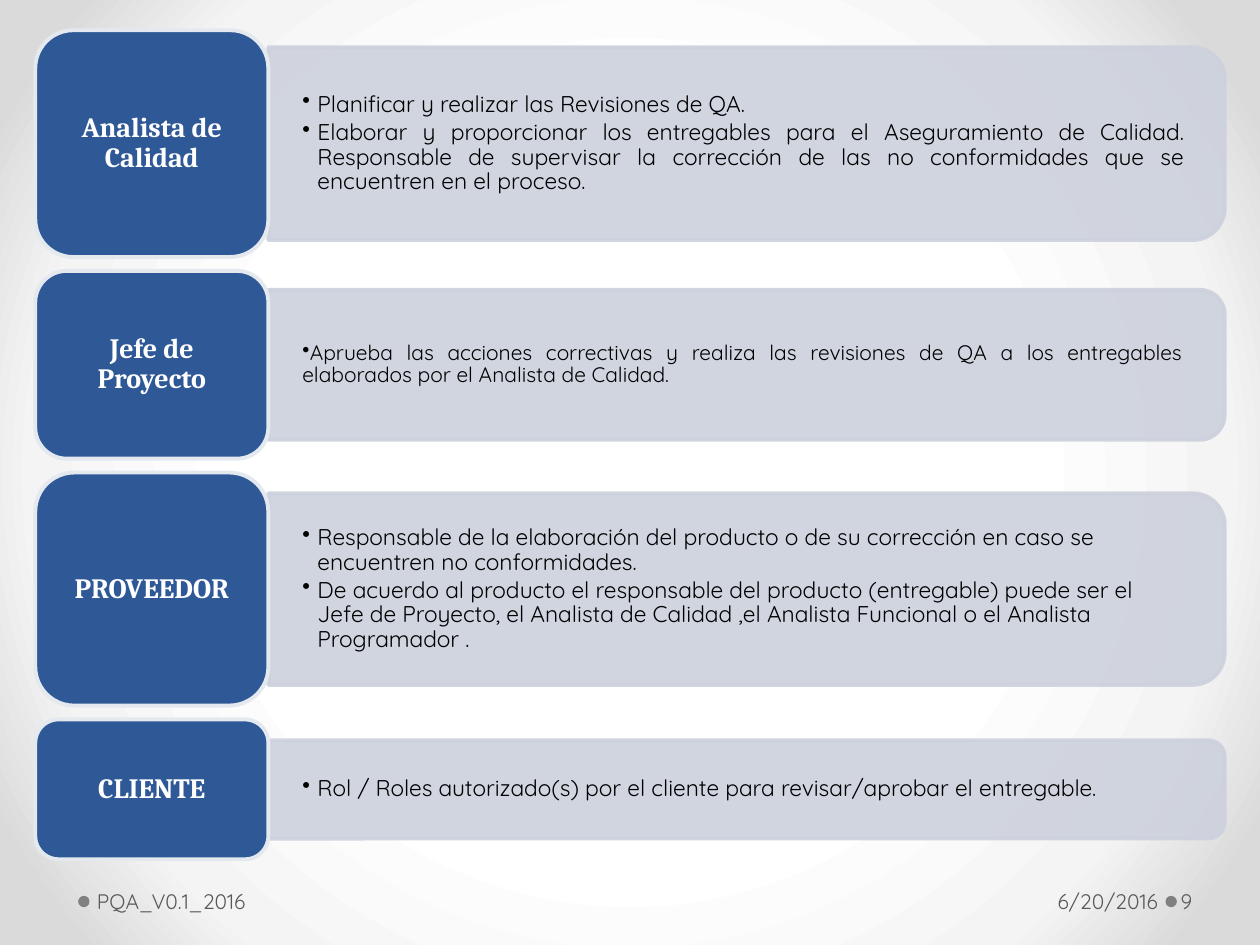
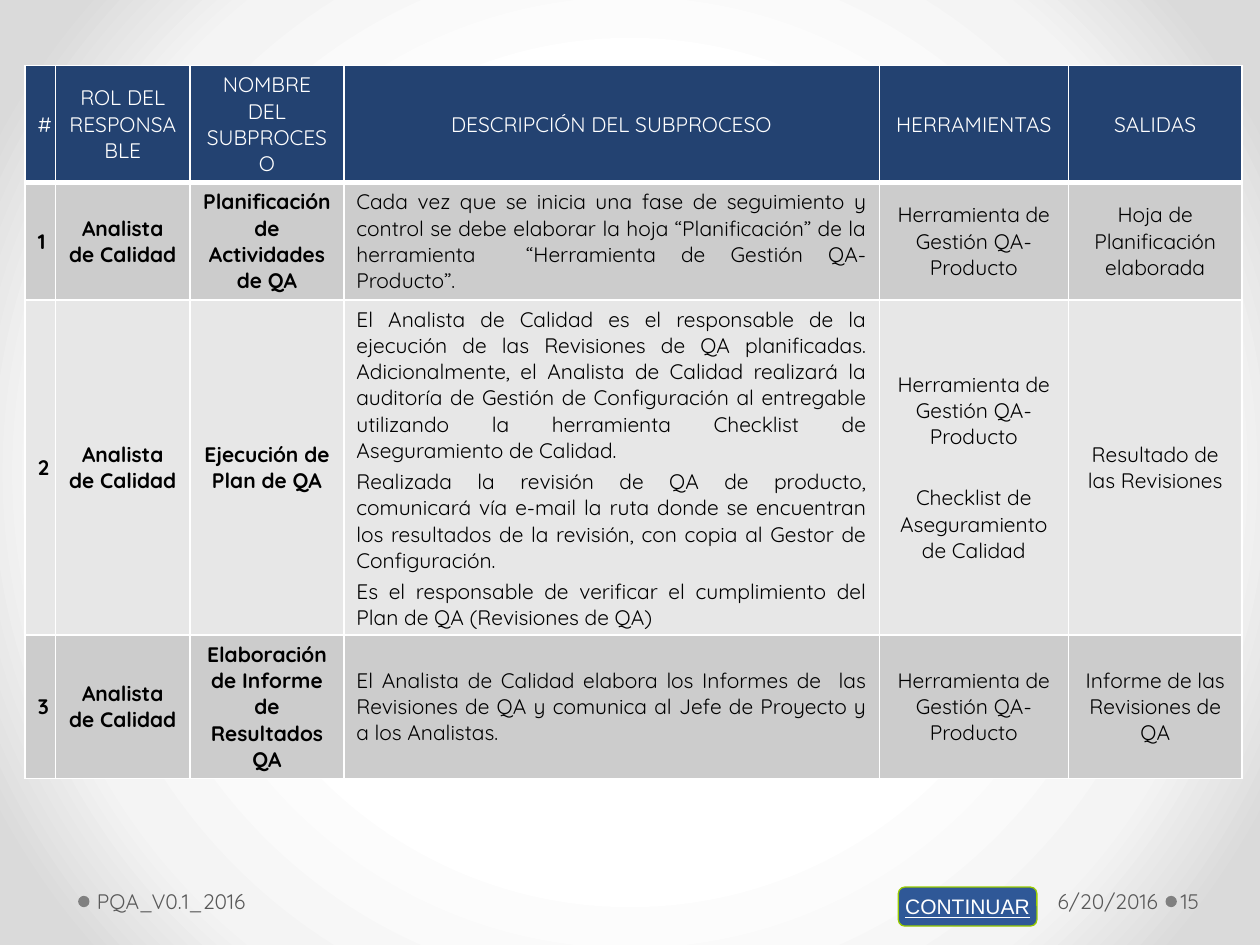
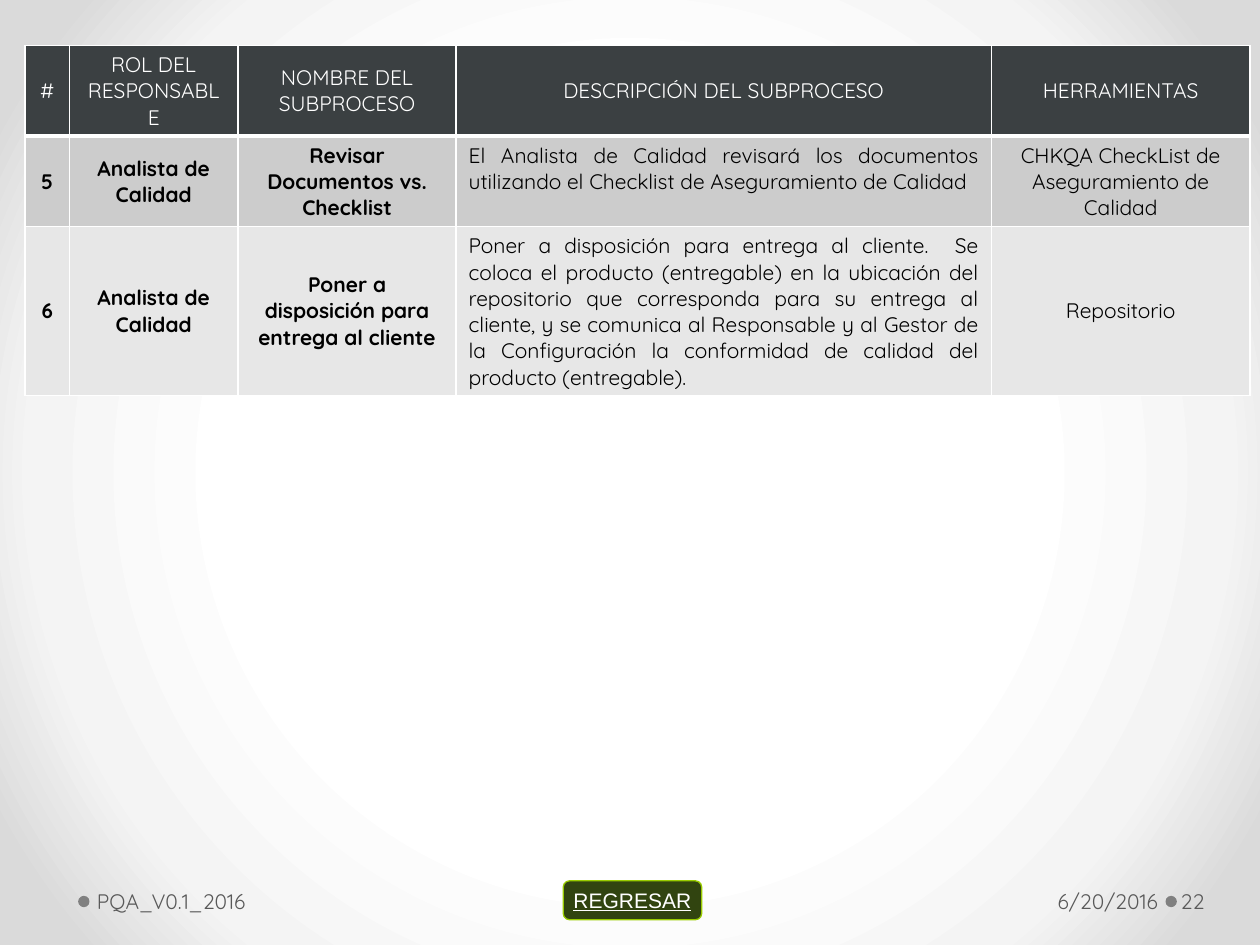
import lxml.etree
import pptx
import pptx.dml.color
import pptx.enum.shapes
import pptx.enum.text
import pptx.oxml.ns
import pptx.util

RGBColor = pptx.dml.color.RGBColor
PRESET = pptx.enum.shapes.MSO_SHAPE
ALIGN = pptx.enum.text.PP_ALIGN
ANCHOR = pptx.enum.text.MSO_ANCHOR
qn = pptx.oxml.ns.qn

BLACK = RGBColor(0x00, 0x00, 0x00)
WHITE = RGBColor(0xFF, 0xFF, 0xFF)
BLUE = RGBColor(0x2F, 0x58, 0x97)
NAVY = RGBColor(0x23, 0x42, 0x71)
CHARCOAL = RGBColor(0x3B, 0x40, 0x42)
OLIVE = RGBColor(0x31, 0x44, 0x10)
LIME = RGBColor(0x99, 0xCC, 0x00)
LAVENDER = RGBColor(0xCD, 0xD1, 0xDD)
HALO = RGBColor(0xE4, 0xE9, 0xEF)
FOOTER_TEXT = RGBColor(0x59, 0x59, 0x59)
FOOTER_DOT = RGBColor(0x80, 0x80, 0x80)
BAND_DARK = RGBColor(0xCC, 0xCC, 0xCC)
BAND_LIGHT = RGBColor(0xE7, 0xE7, 0xE7)
BACKGROUND_STOPS = [(50, WHITE), (76, RGBColor(0xF4, 0xF4, 0xF4)),
                    (92, RGBColor(0xDA, 0xDA, 0xDA))]

BODY_FONT = "Quicksand"
LABEL_FONT = "Cambria"
BUTTON_FONT = "Arial"

presentation = pptx.Presentation()
presentation.slide_width = pptx.util.Inches(10)
presentation.slide_height = pptx.util.Inches(7.5)

# Every length below counts the columns and rows of a 100 by 75 grid.
COLUMN = presentation.slide_width / 100
ROW = presentation.slide_height / 75


def place(slide, box, preset=None, fill=None, line=None, weight=0):
    """Add a preset shape, or a text box without one, at a box of grid units."""
    left, top, width, height = box
    lengths = [round(left * COLUMN), round(top * ROW),
               round(width * COLUMN), round(height * ROW)]
    if preset is None:
        shape = slide.shapes.add_textbox(*lengths)
    else:
        shape = slide.shapes.add_shape(preset, *lengths)
        shape.shadow.inherit = False
        shape.fill.solid()
        shape.fill.fore_color.rgb = fill
        if line is None:
            shape.line.fill.background()
        else:
            shape.line.color.rgb = line
            shape.line.width = pptx.util.Pt(weight)
    shape.text_frame.word_wrap = True
    shape.text_frame.vertical_anchor = ANCHOR.MIDDLE
    return shape


def write(frame, text, size=12, font=BODY_FONT, color=BLACK, bold=False, underline=False,
          align=ALIGN.LEFT, gap=0, spacing=None, margins=None, hanging=None):
    """Fill a frame with one paragraph per line; hanging sets a bullet indent."""
    if margins:
        frame.margin_left, frame.margin_top, frame.margin_right, frame.margin_bottom = [
            pptx.util.Inches(margin) for margin in margins]
    for index, line in enumerate(text.split("\n")):
        paragraph = frame.paragraphs[0] if index == 0 else frame.add_paragraph()
        paragraph.alignment = align
        if index:
            paragraph.space_before = pptx.util.Pt(gap)
        if spacing:
            paragraph.line_spacing = spacing
        if hanging is not None:
            indent = pptx.util.Inches(hanging)
            properties = paragraph._p.get_or_add_pPr()
            properties.set("marL", str(indent))
            properties.set("indent", str(-indent))
            lxml.etree.SubElement(properties, qn("a:buChar")).set("char", "•")
        run = paragraph.add_run()
        run.text = line
        run.font.name = font
        run.font.size = pptx.util.Pt(size)
        run.font.color.rgb = color
        run.font.bold = bold
        run.font.underline = underline


# Shared background: a round gradient from the middle of the master
master = presentation.slide_master
master.background.fill.gradient()
gradient = next(master.element.iter(qn("a:gradFill")))
for child in list(gradient):
    gradient.remove(child)
stop_list = lxml.etree.SubElement(gradient, qn("a:gsLst"))
for position, color in BACKGROUND_STOPS:
    stop = lxml.etree.SubElement(stop_list, qn("a:gs"))
    stop.set("pos", str(position * 1000))
    lxml.etree.SubElement(stop, qn("a:srgbClr")).set("val", str(color))
circle = lxml.etree.SubElement(gradient, qn("a:path"))
circle.set("path", "circle")
center = lxml.etree.SubElement(circle, qn("a:fillToRect"))
for side in "ltrb":
    center.set(side, "50000")

# Slides with their shared footer
FOOTER_TOP, FOOTER_HEIGHT = 69.5, 4
slides = []
for number in ("9", "15", "22"):
    slide = presentation.slides.add_slide(presentation.slide_layouts[6])
    for left in (6.2, 92.5):
        place(slide, (left, 71.1, 0.9, 0.9), PRESET.OVAL, FOOTER_DOT)
    for left, width, text, align, margins in (
            (7.2, 39.6, "PQA_V0.1_2016", ALIGN.LEFT, (0.05, 0.05, 0.1, 0.05)),
            (69.6, 22.8, "6/20/2016", ALIGN.RIGHT, (0.1, 0.05, 0.05, 0.05)),
            (93.4, 6.1, number, ALIGN.LEFT, (0.03, 0.05, 0.05, 0.05))):
        footer = place(slide, (left, FOOTER_TOP, width, FOOTER_HEIGHT))
        write(footer.text_frame, text, color=FOOTER_TEXT, align=align, margins=margins)
    slides.append(slide)
roles_slide, process_slide, review_slide = slides

# Slide 1: roles, each a label with a panel centred on it
LABEL_LEFT, LABEL_WIDTH, LABEL_GAP = 2.8, 18.5, 1.1
PANEL_LEFT, PANEL_WIDTH = LABEL_LEFT + LABEL_WIDTH, 75.9
roles = [
    # name, label height, panel height, text size, alignment, hanging indent, duties
    ("Analista de Calidad", 18, 15.3, 13, ALIGN.JUSTIFY, 0.12,
     "Planificar y realizar las Revisiones de QA.\n"
     "Elaborar y proporcionar los entregables para el Aseguramiento de Calidad. Responsable "
     "de supervisar la corrección de las no conformidades que se encuentren en el proceso."),
    ("Jefe de Proyecto", 14.9, 11.9, 12, ALIGN.JUSTIFY, 0,
     "Aprueba las acciones correctivas y realiza las revisiones de QA a los entregables "
     "elaborados por el Analista de Calidad."),
    ("PROVEEDOR", 18.5, 15.2, 13, ALIGN.LEFT, 0.12,
     "Responsable de la elaboración del producto o de su corrección en caso se encuentren "
     "no conformidades.\n"
     "De acuerdo al producto el responsable del producto (entregable) puede ser el Jefe de "
     "Proyecto, el Analista de Calidad ,el Analista Funcional o el Analista Programador ."),
    ("CLIENTE", 11.1, 7.8, 13, ALIGN.LEFT, 0.12,
     "Rol / Roles autorizado(s) por el cliente para revisar/aprobar el entregable."),
]
top = 2.4
for name, label_height, panel_height, size, align, hanging, duties in roles:
    middle = top + label_height / 2
    # The panel is an upright shape turned a quarter, so its sides swap.
    panel = place(roles_slide,
                  (PANEL_LEFT + (PANEL_WIDTH - panel_height) / 2, middle - PANEL_WIDTH / 2,
                   panel_height, PANEL_WIDTH),
                  PRESET.ROUND_2_SAME_RECTANGLE, LAVENDER, LAVENDER, 2.25)
    panel.rotation = 90
    for color in panel.element.spPr.iter(qn("a:srgbClr")):
        lxml.etree.SubElement(color, qn("a:alpha")).set("val", "90000")
    text_height = panel_height * 0.9
    duty_box = place(roles_slide, (PANEL_LEFT, middle - text_height / 2, 75.3, text_height))
    write(duty_box.text_frame, duties, size=size, align=align, gap=1.95, spacing=0.9,
          margins=(0.27, 0.14, 0.27, 0.14), hanging=hanging)
    label = place(roles_slide, (LABEL_LEFT, top, LABEL_WIDTH, label_height),
                  PRESET.ROUNDED_RECTANGLE, BLUE, HALO, 2.25)
    write(label.text_frame, name, size=16, font=LABEL_FONT, color=WHITE, bold=True,
          align=ALIGN.CENTER, spacing=0.9, margins=(0.07, 0.03, 0.07, 0.03))
    top += label_height + LABEL_GAP

# Slides 2 and 3: subprocess tables
HEADINGS = ["#", "ROL DEL RESPONSABLE", "NOMBRE DEL SUBPROCESO",
            "DESCRIPCIÓN DEL SUBPROCESO", "HERRAMIENTAS", "SALIDAS"]
ANALYST = "Analista de Calidad"
TOOL = "Herramienta de Gestión QA-Producto"
DESCRIPTION = HEADINGS.index("DESCRIPCIÓN DEL SUBPROCESO")

process_rows = [
    HEADINGS,
    ["1", ANALYST, "Planificación de Actividades de QA",
     "Cada vez que se inicia una fase de seguimiento y control se debe elaborar la hoja "
     "“Planificación” de la herramienta  “Herramienta de Gestión QA-Producto”.",
     TOOL, "Hoja de Planificación elaborada"],
    ["2", ANALYST, "Ejecución de Plan de QA",
     "El Analista de Calidad es el responsable de la ejecución de las Revisiones de QA "
     "planificadas. Adicionalmente, el Analista de Calidad realizará la auditoría de Gestión "
     "de Configuración al entregable utilizando la herramienta Checklist de Aseguramiento "
     "de Calidad.\n"
     "Realizada la revisión de QA de producto, comunicará vía e-mail la ruta donde se "
     "encuentran los resultados de la revisión, con copia al Gestor de Configuración.\n"
     "Es el responsable de verificar el cumplimiento del Plan de QA (Revisiones de QA)",
     TOOL + "\nChecklist de Aseguramiento de Calidad", "Resultado de las Revisiones"],
    ["3", ANALYST, "Elaboración de Informe de Resultados QA",
     "El Analista de Calidad elabora los Informes de  las Revisiones de QA y comunica al "
     "Jefe de Proyecto y a los Analistas.",
     TOOL, "Informe de las Revisiones de QA"],
]
review_rows = [
    HEADINGS[:-1],
    ["5", ANALYST, "Revisar Documentos vs. Checklist",
     "El Analista de Calidad revisará los documentos utilizando el Checklist de "
     "Aseguramiento de Calidad",
     "CHKQA CheckList de Aseguramiento de Calidad"],
    ["6", ANALYST, "Poner a disposición para entrega al cliente",
     "Poner a disposición para entrega al cliente.  Se coloca el producto (entregable) en la "
     "ubicación del repositorio que corresponda para su entrega al cliente, y se comunica al "
     "Responsable y al Gestor de la Configuración la conformidad de calidad del producto "
     "(entregable).",
     "Repositorio"],
]
tables = [
    (process_slide, 5.2, NAVY, process_rows,
     [2.3, 10.7, 12.2, 42.5, 15, 13.8], [9.3, 9.3, 26.6, 11.4]),
    (review_slide, 3.6, CHARCOAL, review_rows,
     [3.5, 13.4, 17.3, 42.5, 20.5], [7.2, 7.2, 13.4]),
]
for slide, top, header_fill, rows, widths, heights in tables:
    table = slide.shapes.add_table(
        len(rows), len(widths), round(2 * COLUMN), round(top * ROW),
        round(sum(widths) * COLUMN), round(sum(heights) * ROW)).table
    table.horz_banding = False
    for column, width in zip(table.columns, widths):
        column.width = round(width * COLUMN)
    for row, height in zip(table.rows, heights):
        row.height = round(height * ROW)
    for row_index, texts in enumerate(rows):
        is_header = row_index == 0
        is_last = row_index == len(rows) - 1
        fill = header_fill if is_header else BAND_DARK if row_index % 2 else BAND_LIGHT
        for column_index, text in enumerate(texts):
            cell = table.cell(row_index, column_index)
            for side in "LRTB":
                border = lxml.etree.SubElement(cell._tc.get_or_add_tcPr(), qn("a:ln" + side))
                border.set("w", str(pptx.util.Pt(3 if is_header and side == "B" else 1)))
                solid = lxml.etree.SubElement(border, qn("a:solidFill"))
                lxml.etree.SubElement(solid, qn("a:srgbClr")).set("val", str(WHITE))
            cell.fill.solid()
            cell.fill.fore_color.rgb = fill
            is_prose = column_index == DESCRIPTION and not is_header
            cell.vertical_anchor = ANCHOR.TOP if is_prose and not is_last else ANCHOR.MIDDLE
            write(cell.text_frame, text, color=WHITE if is_header else BLACK,
                  bold=not is_header and column_index < DESCRIPTION,
                  align=ALIGN.JUSTIFY if is_prose else ALIGN.CENTER,
                  gap=2.9 if is_prose else 20)

# Navigation buttons
for slide, left, top, fill, text in (
        (process_slide, 71.3, 70.4, BLUE, "CONTINUAR"),
        (review_slide, 44.7, 69.9, OLIVE, "REGRESAR")):
    button = place(slide, (left, top, 11, 3.1), PRESET.FLOWCHART_ALTERNATE_PROCESS,
                   fill, LIME, 0.75)
    button.text_frame.word_wrap = False
    write(button.text_frame, text, font=BUTTON_FONT, color=WHITE, underline=True,
          align=ALIGN.CENTER)

presentation.save("out.pptx")
